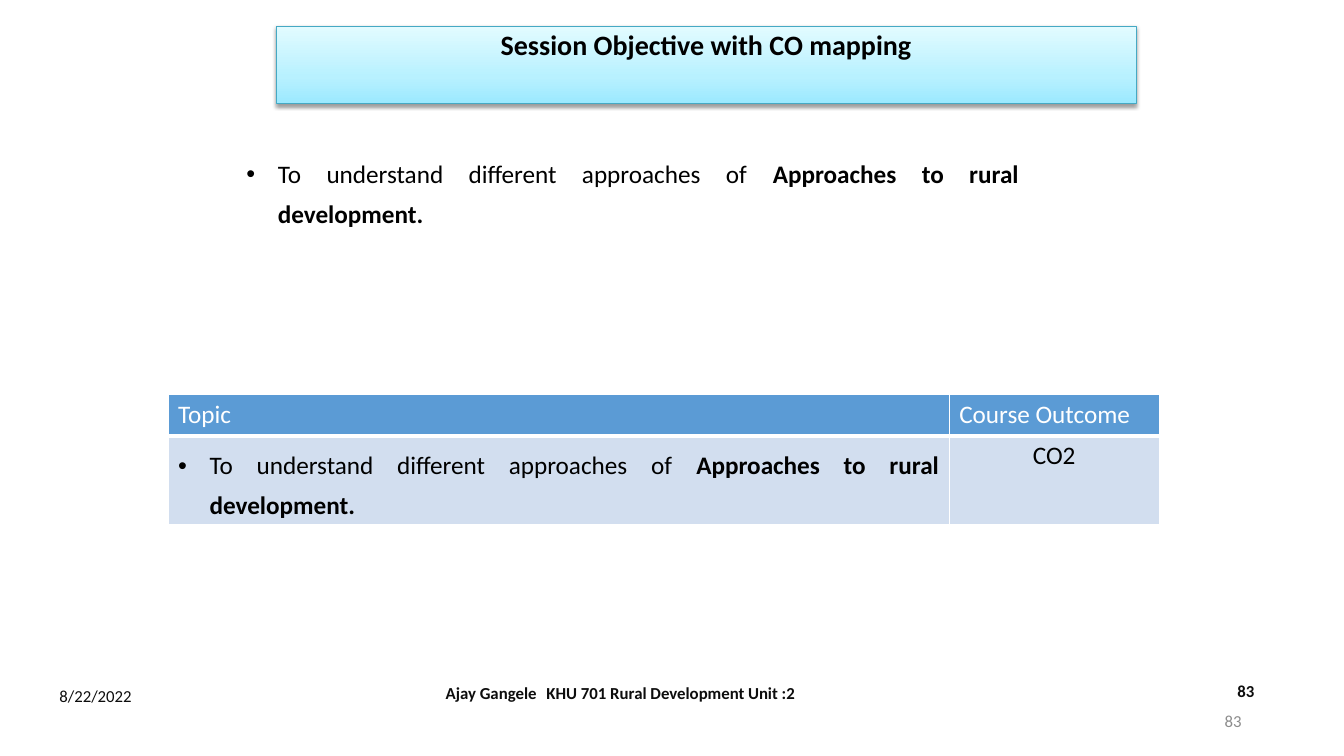
from lxml import etree
from pptx import Presentation
from pptx import util as u
from pptx.dml.color import RGBColor
from pptx.enum import text
from pptx.oxml import ns

COLORS = {
    "black": "000000", "ink": "0D0D0D", "gray": "8C8C8C", "white": "FFFFFF",
    "title_line": "45A9C4", "header": "5B9BD5", "row": "D2DEEF",
}
TITLE = "Session Objective with CO mapping"
TITLE_STOPS = [(0, "9BE9FF"), (35, "B8F1FF"), (100, "E2FBFF")]
OBJECTIVE = [("To understand different approaches of ", False),
             ("Approaches to rural development.", True)]
TABLE_ROWS = [
    [[("Topic", False)], [("Course Outcome", False)]],
    [OBJECTIVE, [("CO2", False)]],
]
COLUMN_WIDTHS = [744, 200]
ROW_HEIGHTS = [39, 85]

LEFT, CENTER, RIGHT, JUSTIFY = (text.PP_ALIGN.LEFT, text.PP_ALIGN.CENTER,
                                text.PP_ALIGN.RIGHT, text.PP_ALIGN.JUSTIFY)
TOP, MIDDLE = text.MSO_ANCHOR.TOP, text.MSO_ANCHOR.MIDDLE
FOOTER_INDENT = 63
FOOTER_TABS = [168, 454]
FOOTERS = [
    ((362, 641, 564, 38), "Ajay Gangele\tKHU 701 Rural Development\tUnit :2",
     True, "ink", LEFT, MIDDLE),
    ((47, 639, 228, 47), "8/22/2022", False, "ink", LEFT, MIDDLE),
    ((1169, 644, 110, 39), "83", True, "ink", LEFT, TOP),
    ((904, 667, 288, 38), "83", False, "gray", RIGHT, MIDDLE),
]


def px(value):
    return u.Emu(value * 9525)


def add_child(parent, tag, **attributes):
    child = etree.SubElement(parent, ns.qn(tag))
    for name, value in attributes.items():
        child.set(name, str(value))
    return child


def place(shape, left, top, width, height):
    shape.left, shape.top, shape.width, shape.height = map(px, (left, top, width, height))


def write(paragraph, runs, size, color, alignment):
    paragraph.alignment = alignment
    paragraph.font.size = u.Pt(size)
    paragraph.font.name = "Calibri"
    paragraph.font.color.rgb = RGBColor.from_string(COLORS[color])
    for words, bold in runs:
        run = paragraph.add_run()
        run.text = words
        run.font.bold = bold


def write_objective(paragraph):
    properties = paragraph._p.get_or_add_pPr()
    properties.set("marL", str(px(30)))
    properties.set("indent", str(px(-30)))
    paragraph.line_spacing = 1.31
    paragraph.space_before = u.Pt(0)
    add_child(add_child(properties, "a:buClr"), "a:srgbClr", val=COLORS["black"])
    add_child(properties, "a:buFont", typeface="Arial")
    add_child(properties, "a:buChar", char="•")
    write(paragraph, OBJECTIVE, 18, "black", JUSTIFY)


def style_title(title):
    place(title, 263, 25, 819, 74)
    title.fill.gradient()
    title.fill.gradient_angle = 90
    properties = title._element.spPr
    stops = properties.find(".//" + ns.qn("a:gsLst"))
    for stop in list(stops):
        stops.remove(stop)
    for position, color in TITLE_STOPS:
        stop = add_child(stops, "a:gs", pos=position * 1000)
        add_child(stop, "a:srgbClr", val=color)
    title.line.color.rgb = RGBColor.from_string(COLORS["title_line"])
    title.line.width = u.Pt(0.75)
    effects = add_child(properties, "a:effectLst")
    shadow = add_child(effects, "a:outerShdw", blurRad=u.Pt(3.1), dist=u.Pt(1.6),
                       dir=5400000, rotWithShape=0)
    shade = add_child(shadow, "a:srgbClr", val=COLORS["black"])
    add_child(shade, "a:alpha", val=38000)
    frame = title.text_frame
    frame.auto_size = text.MSO_AUTO_SIZE.NONE
    frame.vertical_anchor = TOP
    frame.paragraphs[0].line_spacing = 0.9
    write(frame.paragraphs[0], [(TITLE, True)], 20, "black", CENTER)


def style_cell(cell, fill, edges):
    properties = cell._tc.get_or_add_tcPr()
    for side, points in edges.items():
        line = add_child(properties, "a:ln" + side, w=u.Pt(points))
        add_child(add_child(line, "a:solidFill"), "a:srgbClr", val=COLORS["white"])
    cell.fill.solid()
    cell.fill.fore_color.rgb = RGBColor.from_string(COLORS[fill])


def add_outcomes(slide):
    table = slide.shapes.add_table(
        len(ROW_HEIGHTS), len(COLUMN_WIDTHS), px(160), px(376),
        px(sum(COLUMN_WIDTHS)), px(sum(ROW_HEIGHTS))).table
    for column, width in zip(table.columns, COLUMN_WIDTHS):
        column.width = px(width)
    for row, height in zip(table.rows, ROW_HEIGHTS):
        row.height = px(height)
    for r, cells in enumerate(TABLE_ROWS):
        for c, runs in enumerate(cells):
            cell = table.cell(r, c)
            header = r == 0
            style_cell(cell, "header" if header else "row",
                       {"L": 1, "R": 1, "T": 1 if header else 3, "B": 3 if header else 1})
            paragraph = cell.text_frame.paragraphs[0]
            if runs is OBJECTIVE:
                write_objective(paragraph)
            else:
                write(paragraph, runs, 18, "white" if header else "black",
                      LEFT if header else CENTER)


def add_footers(slide):
    for box, words, bold, color, alignment, anchor in FOOTERS:
        frame = slide.shapes.add_textbox(*map(px, box)).text_frame
        frame.word_wrap = True
        frame.vertical_anchor = anchor
        paragraph = frame.paragraphs[0]
        if "\t" in words:
            properties = paragraph._p.get_or_add_pPr()
            properties.set("marL", str(px(FOOTER_INDENT - 10)))
            properties.set("indent", "0")
            tabs = add_child(properties, "a:tabLst")
            for position in FOOTER_TABS:
                add_child(tabs, "a:tab", pos=px(position - 10), algn="l")
        write(paragraph, [(words, bold)], 12, color, alignment)


def main():
    presentation = Presentation()
    presentation.slide_width, presentation.slide_height = px(1280), px(720)
    slide = presentation.slides.add_slide(presentation.slide_layouts[1])
    style_title(slide.shapes.title)
    body = slide.placeholders[1]
    place(body, 225, 137, 755, 85)
    body.text_frame.auto_size = text.MSO_AUTO_SIZE.SHAPE_TO_FIT_TEXT
    write_objective(body.text_frame.paragraphs[0])
    add_outcomes(slide)
    add_footers(slide)
    presentation.save("out.pptx")


if __name__ == "__main__":
    main()
